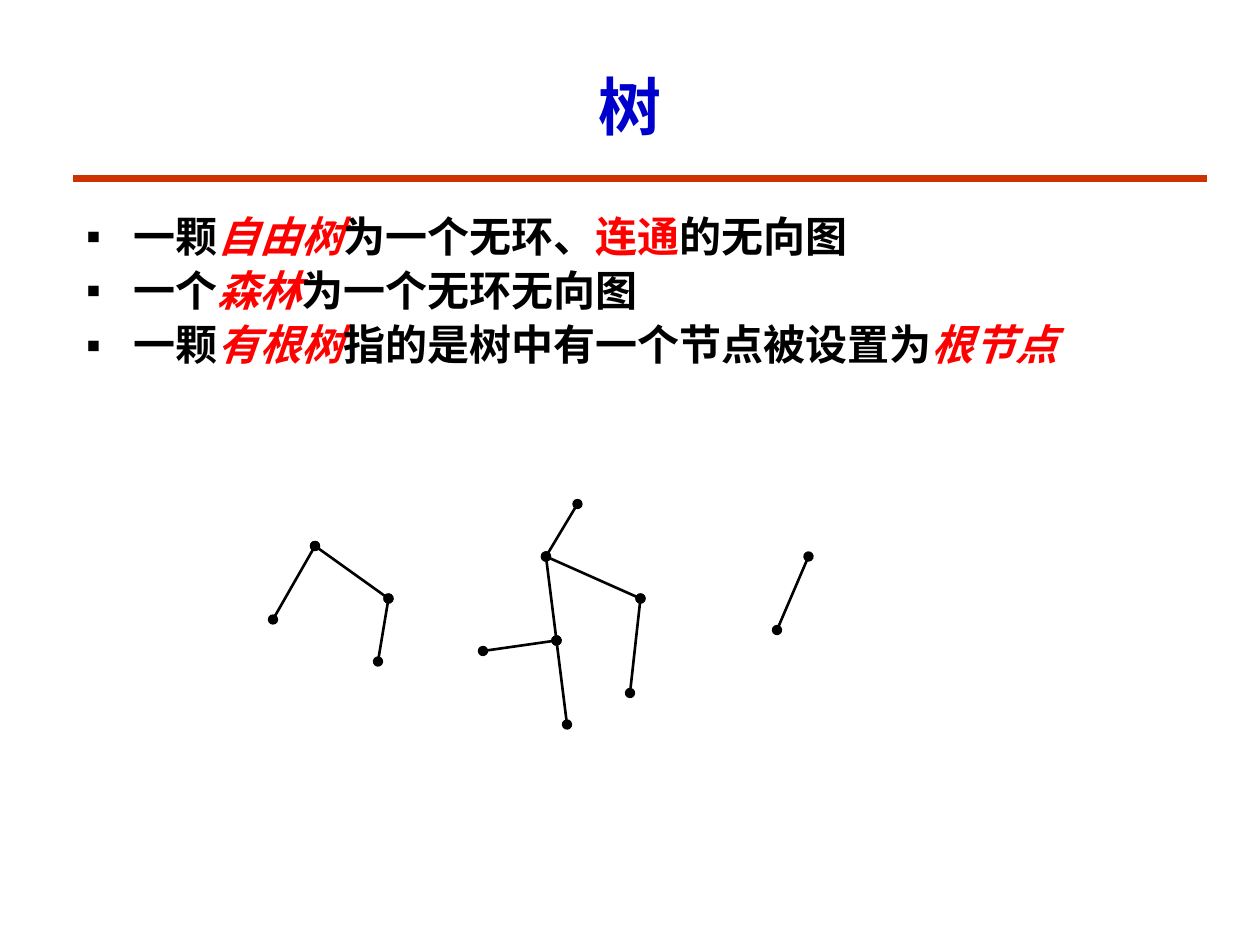
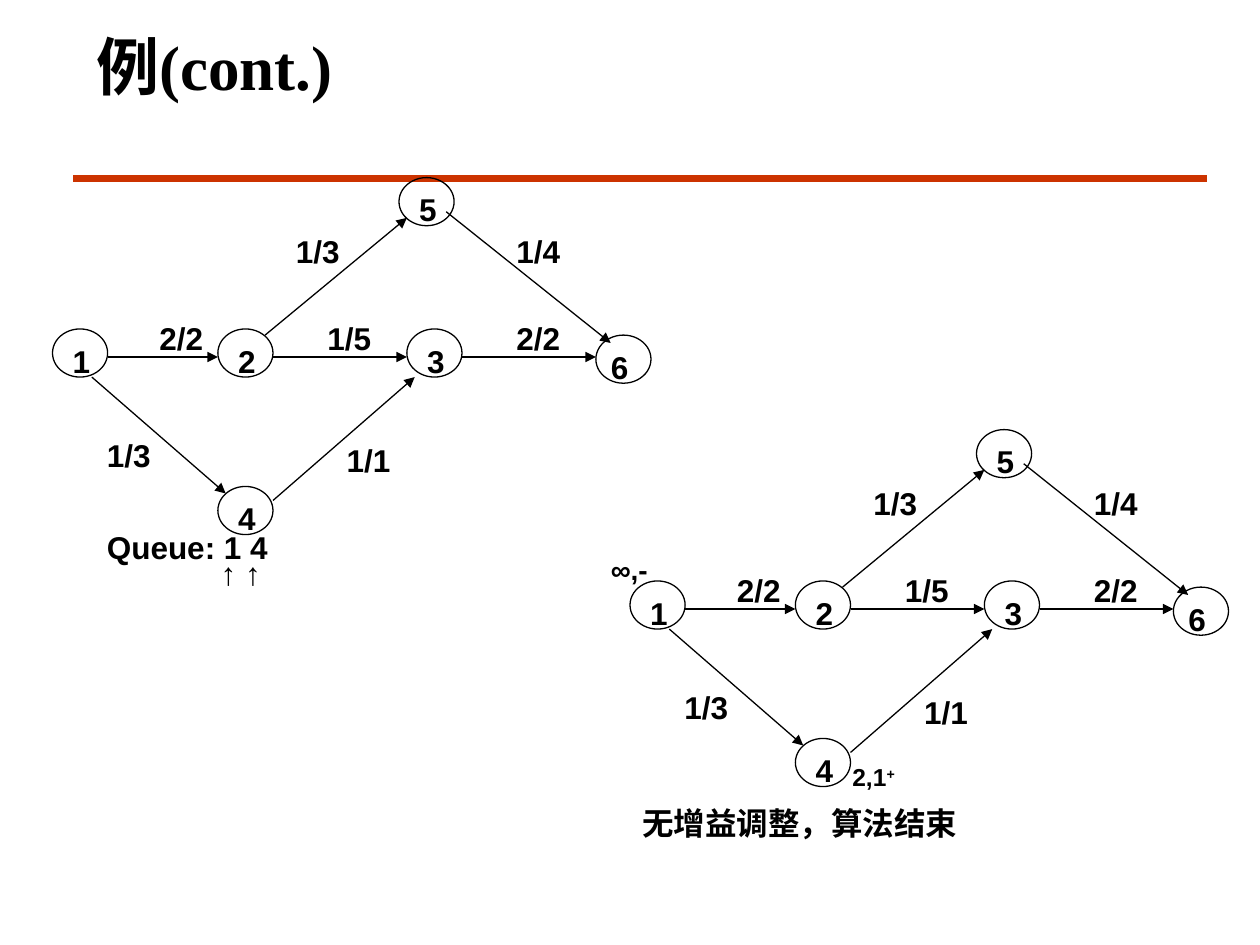
import pptx
import pptx.util
import pptx.dml.color
import pptx.enum.shapes
import pptx.enum.text
import pptx.oxml.ns
import lxml.etree

Pt = pptx.util.Pt
ALIGN = pptx.enum.text.PP_ALIGN
ANCHOR = pptx.enum.text.MSO_ANCHOR

BLACK, RED, BLUE, RULE = "000000", "FF0000", "0000CC", "CC3300"
SERIF, SANS = "Times New Roman", "Arial"

# Slide 1 content: (text, style) pieces, where style is "", "red" or "term"
TREE_TITLE = "树"
DEFINITIONS = [
    [("一颗", ""), ("自由树", "term"), ("为一个无环、", ""), ("连通", "red"), ("的无向图", "")],
    [("一个", ""), ("森林", "term"), ("为一个无环无向图", "")],
    [("一颗", ""), ("有根树", "term"), ("指的是树中有一个节点被设置为", ""), ("根节点", "term")],
]
# Each tree: vertices by name, then edges as pairs of names
FOREST = [
    ({"a": (330, 288), "b": (312, 318), "c": (318, 366), "d": (366, 342),
      "e": (360, 396), "f": (276, 372), "g": (324, 414)},
     ["ab", "bc", "bd", "de", "cf", "cg"]),
    ({"a": (462, 318), "b": (444, 360)}, ["ab"]),
    ({"a": (180, 312), "b": (156, 354), "c": (222, 342), "d": (216, 378)},
     ["ab", "ac", "cd"]),
]

# Slide 2 content
EXAMPLE_TITLE = "例(cont.)"
NODE_SIZE = (31.5, 27.5)
# name: left, top, shift of the number to the right
NODES = {
    "1": (30, 188, 4.5), "4": (124.5, 278, 4.5), "3": (232.5, 188, 4.5),
    "2": (124.5, 188, 4.5), "5": (228, 101.5, 4.5), "6": (340.5, 191.5, 1.5),
}
# start, end, flow/capacity, place of the flow label
FLOWS = [
    ((52.5, 215.5), (129, 282), "1/3", (54, 245.5)),
    ((61.5, 204), (124.5, 204), "2/2", (84, 178.5)),
    ((151.5, 191.5), (232.5, 124.5), "1/3", (162, 129)),
    ((156, 204), (232.5, 204), "1/5", (180, 178.5)),
    ((156, 286), (237, 215.5), "1/1", (191, 248.5)),
    ((264, 204), (340.5, 204), "2/2", (288, 178.5)),
    ((255, 121), (349, 196), "1/4", (288, 129)),
]
NETWORK_OFFSETS = [(0, 0), (330, 144)]
# text, place and size, font size
REMARKS = [
    ("∞,-", (342, 312, 36, 26.5), 16),
    ("2,1+", (480, 432, 42, 24), 14),
    ("无增益调整，算法结束", (360, 456, 298, 29), 18),
    ("Queue: 1 4\n↑ ↑", (54, 312, 174, 29), 18),
]


def rgb(value):
    return pptx.dml.color.RGBColor.from_string(value)


def style(run, size, face, color=BLACK, italic=False):
    font = run.font
    font.size, font.name = Pt(size), face
    font.bold, font.italic = True, italic
    font.color.rgb = rgb(color)


def place(shape, left, top, width, height):
    shape.left, shape.top = Pt(left), Pt(top)
    shape.width, shape.height = Pt(width), Pt(height)


def add_line(slide, start, end, width, color=BLACK, head=None, tail=None):
    line = slide.shapes.add_connector(
        pptx.enum.shapes.MSO_CONNECTOR.STRAIGHT, *map(Pt, start + end))
    line.line.width = Pt(width)
    line.line.color.rgb = rgb(color)
    outline = line.line._get_or_add_ln()
    for tag, kind in (("a:headEnd", head), ("a:tailEnd", tail)):
        if kind:
            lxml.etree.SubElement(outline, pptx.oxml.ns.qn(tag), type=kind)
    lxml.etree.SubElement(line._element.spPr, pptx.oxml.ns.qn("a:effectLst"))
    return line


def add_text(slide, text, box, size=18, wrap=False):
    frame = slide.shapes.add_textbox(*map(Pt, box)).text_frame
    frame.word_wrap = wrap
    frame.text = text
    for paragraph in frame.paragraphs:
        for run in paragraph.runs:
            style(run, size, SANS)
    return frame


def set_title(slide, text, box, color, align, anchor):
    title = slide.shapes.title
    place(title, *box)
    frame = title.text_frame
    frame.text = text
    frame.auto_size = pptx.enum.text.MSO_AUTO_SIZE.NONE
    frame.vertical_anchor = anchor
    frame.paragraphs[0].alignment = align
    for run in frame.paragraphs[0].runs:
        style(run, 36, SERIF, color)


def add_definitions(slide):
    body = slide.placeholders[1]
    place(body, 42, 120, 612, 372)
    frame = body.text_frame
    frame.auto_size = pptx.enum.text.MSO_AUTO_SIZE.NONE
    for index, pieces in enumerate(DEFINITIONS):
        paragraph = frame.add_paragraph() if index else frame.paragraphs[0]
        paragraph.line_spacing = 0.9
        paragraph.space_before = Pt(5 if index else 0)
        properties = paragraph._p.get_or_add_pPr()
        properties.set("marL", str(Pt(27)))
        properties.set("indent", str(-Pt(27)))
        lxml.etree.SubElement(properties, pptx.oxml.ns.qn("a:buFont"), typeface=SANS)
        lxml.etree.SubElement(properties, pptx.oxml.ns.qn("a:buChar"), char="▪")
        for text, look in pieces:
            run = paragraph.add_run()
            run.text = text
            style(run, 24, SERIF, RED if look else BLACK, look == "term")


def add_network(slide, dx, dy):
    for left, top, _ in NODES.values():
        node = slide.shapes.add_shape(
            pptx.enum.shapes.MSO_SHAPE.OVAL,
            *map(Pt, (left + dx, top + dy) + NODE_SIZE))
        node.shadow.inherit = False
        node.fill.background()
        node.line.color.rgb = rgb(BLACK)
        node.line.width = Pt(0.75)
    for (x1, y1), (x2, y2), flow, (left, top) in FLOWS:
        add_line(slide, (x1 + dx, y1 + dy), (x2 + dx, y2 + dy), 0.75, tail="triangle")
        add_text(slide, flow, (left + dx, top + dy, 39.5, 29))
    for name, (left, top, shift) in NODES.items():
        add_text(slide, name, (left + shift + dx, top + 3.75 + dy, 24.5, 29))


def add_remarks(slide):
    _, label, _, queue = [add_text(slide, *remark, wrap=True) for remark in REMARKS]

    # Raised plus sign of the node label
    paragraph = label.paragraphs[0]
    paragraph.runs[0].text = "2,1"
    sign = paragraph.add_run()
    sign.text = "+"
    style(sign, 14, SANS)
    sign.font._element.set("baseline", "30000")

    # Arrows tucked under the queue entries
    for paragraph in queue.paragraphs:
        paragraph.line_spacing = 0.25
    arrows = queue.paragraphs[1]
    arrows.space_before = Pt(9)
    arrows._p.get_or_add_pPr().set("marL", str(Pt(65)))


def main():
    deck = pptx.Presentation()
    deck.slide_width, deck.slide_height = Pt(720), Pt(540)
    trees = deck.slides.add_slide(deck.slide_layouts[1])
    example = deck.slides.add_slide(deck.slide_layouts[5])

    # Shared rule under the titles, kept on the master
    rule = add_line(trees, (42, 102), (690, 102), 4.5, RULE)
    deck.slide_master.shapes._spTree.append(rule._element)

    # Slide 1: definitions and a forest
    set_title(trees, TREE_TITLE, (54, 24, 612, 72), BLUE, ALIGN.CENTER, ANCHOR.MIDDLE)
    add_definitions(trees)
    for vertices, edges in FOREST:
        for start, end in edges:
            add_line(trees, vertices[start], vertices[end], 1.5, head="oval", tail="oval")

    # Slide 2: the same network twice, with remarks
    set_title(example, EXAMPLE_TITLE, (48, 12, 354, 52.5), BLACK, ALIGN.LEFT, ANCHOR.TOP)
    for dx, dy in NETWORK_OFFSETS:
        add_network(example, dx, dy)
    add_remarks(example)

    deck.save("out.pptx")


if __name__ == "__main__":
    main()
